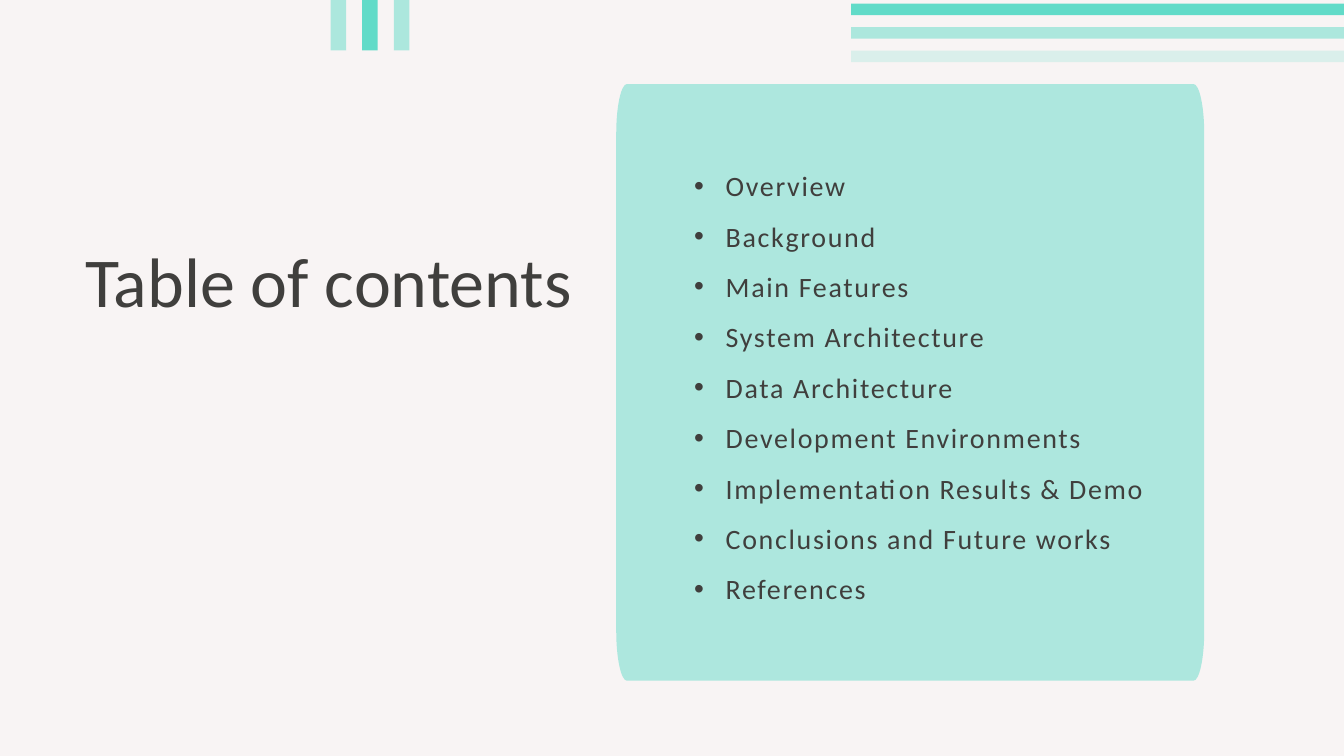
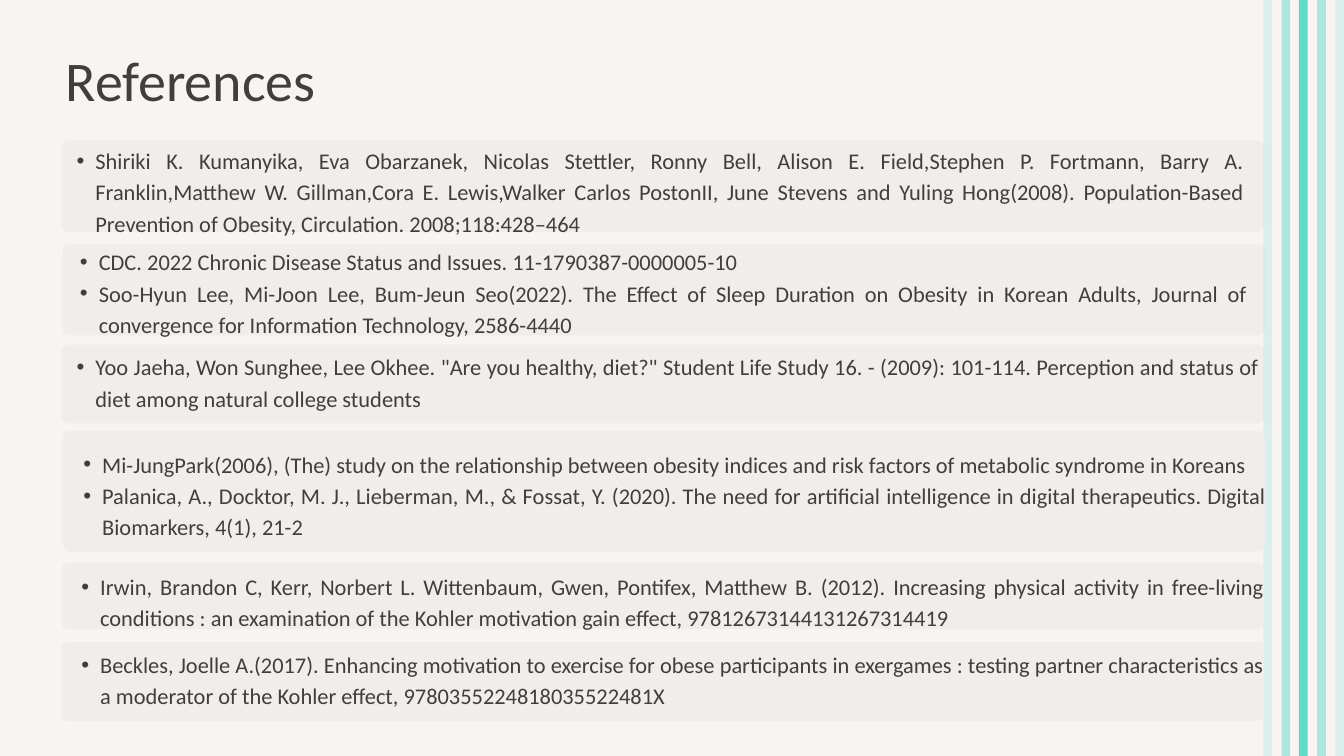
"""Build the table of contents slide and the references slide."""
import pptx
import pptx.dml.color
import pptx.enum.shapes
import pptx.enum.text
import pptx.oxml.ns
import pptx.util
from lxml import etree

PX = 9144
WIDTH, HEIGHT = 2000, 1125
FONT = "Calibri"
CURVE = 0.55
COLORS = {
    "back": "F8F4F4",
    "ink": "403F3D",
    "teal": "62DBC8",
    "mint": "ADE7DE",
    "card": "F2EDED",
}
TOPICS = [
    "Overview",
    "Background",
    "Main Features",
    "System Architecture",
    "Data Architecture",
    "Development Environments",
    "Implementation Results & Demo",
    "Conclusions and Future works",
    "References",
]
EARLY = [
    ((93, 363, 1789, 136), (90, 363, 1766, 141), [
        "CDC. 2022 Chronic Disease Status and Issues. 11-1790387-0000005-10",
        "Soo-Hyun Lee, Mi-Joon Lee, Bum-Jeun Seo(2022). The Effect of Sleep "
        "Duration on Obesity in Korean Adults, Journal of convergence for "
        "Information Technology, 2586-4440",
    ]),
    ((92, 513, 1789, 117), (85, 519, 1789, 92), [
        'Yoo Jaeha, Won Sunghee, Lee Okhee. "Are you healthy, diet?" Student '
        "Life Study 16. - (2009): 101-114. Perception and status of diet "
        "among natural college students",
    ]),
    ((92, 209, 1789, 136), (85, 212, 1766, 141), [
        "Shiriki K. Kumanyika, Eva Obarzanek, Nicolas Stettler, Ronny Bell, "
        "Alison E. Field,Stephen P. Fortmann, Barry A. Franklin,Matthew W. "
        "Gillman,Cora E. Lewis,Walker Carlos PostonII, June Stevens and "
        "Yuling Hong(2008). Population-Based Prevention of Obesity, "
        "Circulation. 2008;118:428–464",
    ]),
]
LATE = [
    ((93, 641, 1789, 180), (95, 664, 1789, 140), [
        "Mi-JungPark(2006), (The) study on the relationship between obesity "
        "indices and risk factors of metabolic syndrome in Koreans",
        "Palanica, A., Docktor, M. J., Lieberman, M., & Fossat, Y. (2020). "
        "The need for artificial intelligence in digital therapeutics. "
        "Digital Biomarkers, 4(1), 21-2",
    ]),
    ((92, 838, 1789, 98), (92, 846, 1789, 92), [
        "Irwin, Brandon C, Kerr, Norbert L. Wittenbaum, Gwen, Pontifex, "
        "Matthew B. (2012). Increasing physical activity in free-living "
        "conditions : an examination of the Kohler motivation gain effect, "
        "97812673144131267314419",
    ]),
    ((92, 955, 1789, 118), (92, 962, 1789, 94), [
        "Beckles, Joelle A.(2017). Enhancing motivation to exercise for obese "
        "participants in exergames : testing partner characteristics as a "
        "moderator of the Kohler effect, 9780355224818035522481X",
    ]),
]


def scale(box):
    return [pptx.util.Emu(n * PX) for n in box]


def tint(name):
    return pptx.dml.color.RGBColor.from_string(COLORS[name])


def add(parent, tag, **attrs):
    return etree.SubElement(parent, pptx.oxml.ns.qn(tag), **attrs)


def paint(shape, color, alpha=100):
    shape.shadow.inherit = False
    shape.line.fill.background()
    shape.fill.solid()
    shape.fill.fore_color.rgb = tint(color)
    if alpha < 100:
        tag = pptx.oxml.ns.qn("a:srgbClr")
        add(next(shape.element.spPr.iter(tag)), "a:alpha", val=str(alpha * 1000))


def bar(slide, box, color="teal", alpha=100, turn=0):
    kind = pptx.enum.shapes.MSO_SHAPE.RECTANGLE
    shape = slide.shapes.add_shape(kind, *scale(box))
    shape.rotation = turn
    paint(shape, color, alpha)
    return shape


def blend(start, end):
    return tuple(a + CURVE * (b - a) for a, b in zip(start, end))


def bend(shape):
    lines = list(shape.element.iter(pptx.oxml.ns.qn("a:lnTo")))
    for i in range(0, len(lines), 4):
        first, second, third = lines[i + 1:i + 4]
        first.tag = pptx.oxml.ns.qn("a:cubicBezTo")
        for extra in (second, third):
            first.extend(list(extra))
            extra.getparent().remove(extra)


def panel(slide, box, color, rx, ry):
    left, top, width, height = box
    right, base = left + width, top + height
    corners = [
        ((left + rx, top), (left, top), (left, top + ry)),
        ((left, base - ry), (left, base), (left + rx, base)),
        ((right - rx, base), (right, base), (right, base - ry)),
        ((right, top + ry), (right, top), (right - rx, top)),
    ]
    points = []
    for enter, tip, leave in corners:
        points += [enter, blend(enter, tip), blend(leave, tip), leave]
    builder = slide.shapes.build_freeform(*points[-1], scale=PX)
    builder = slide.shapes.build_freeform(*scale(points[-1]))
    builder.add_line_segments([(x * PX, y * PX) for x, y in points], close=True)
    shape = builder.convert_to_shape()
    bend(shape)
    paint(shape, color)


def write(shape, lines, size, spacing, align="LEFT", level=0, indent=None, track=0):
    frame = shape.text_frame
    frame.word_wrap = True
    frame.margin_left = frame.margin_right = 0
    frame.margin_top = frame.margin_bottom = 0
    frame.vertical_anchor = pptx.enum.text.MSO_ANCHOR.TOP
    frame.auto_size = pptx.enum.text.MSO_AUTO_SIZE.SHAPE_TO_FIT_TEXT
    for i, line in enumerate(lines):
        para = frame.add_paragraph() if i else frame.paragraphs[0]
        para.alignment = getattr(pptx.enum.text.PP_ALIGN, align)
        para.level = level
        para.line_spacing = spacing
        if indent:
            props = para._p.get_or_add_pPr()
            margin, hang = indent
            props.set("marL", str(margin * PX))
            props.set("indent", str(-hang * PX))
            add(props, "a:buFont", typeface="Arial")
            add(props, "a:buChar", char="•")
        run = para.add_run()
        run.text = line
        run.font.name = FONT
        run.font.size = pptx.util.Pt(size)
        run.font.color.rgb = tint("ink")
        if track:
            run.font._element.set("spc", str(track))


def label(slide, box, lines, **style):
    write(slide.shapes.add_textbox(*scale(box)), lines, **style)


def title(slide, box, words, size):
    label(slide, box, [words], size=size, spacing=pptx.util.Pt(size * 1.4))


def cite(slide, card, box, lines):
    panel(slide, card, "card", 10, round(card[3] * 0.08))
    label(slide, box, lines, size=24, spacing=pptx.util.Pt(33.6),
          align="JUSTIFY", level=1, indent=(57, 28))


def start(deck):
    slide = deck.slides.add_slide(deck.slide_layouts[6])
    slide.background.fill.solid()
    slide.background.fill.fore_color.rgb = tint("back")
    return slide


def contents(deck):
    slide = start(deck)
    for i, alpha in enumerate((100, 50, 20)):
        bar(slide, (1665, -393 + 35 * i, 17, 814), alpha=alpha, turn=90)
    title(slide, (127, 333, 775, 138), "Table of contents", 75)
    panel(slide, (917, 125, 875, 888), "mint", 16, 74)
    block = bar(slide, (1033, 226, 697, 674), "mint")
    write(block, TOPICS, size=30, spacing=1.5, indent=(47, 47), track=180)
    for left, alpha in ((539, 100), (586, 50), (492, 50)):
        bar(slide, (left, -3, 23, 78), alpha=alpha, turn=180)


def sources(deck):
    slide = start(deck)
    for entry in EARLY:
        cite(slide, *entry)
    for i, alpha in enumerate((20, 50, 100, 50, 20)):
        left = 1987 - round(i * 107 / 4)
        bar(slide, (left, 0, 13, HEIGHT), alpha=alpha, turn=180)
    title(slide, (98, 51, 477, 111), "References", 60)
    for entry in LATE:
        cite(slide, *entry)


def main():
    deck = pptx.Presentation()
    deck.slide_width, deck.slide_height = scale((WIDTH, HEIGHT))
    contents(deck)
    sources(deck)
    deck.save("out.pptx")


if __name__ == "__main__":
    main()
